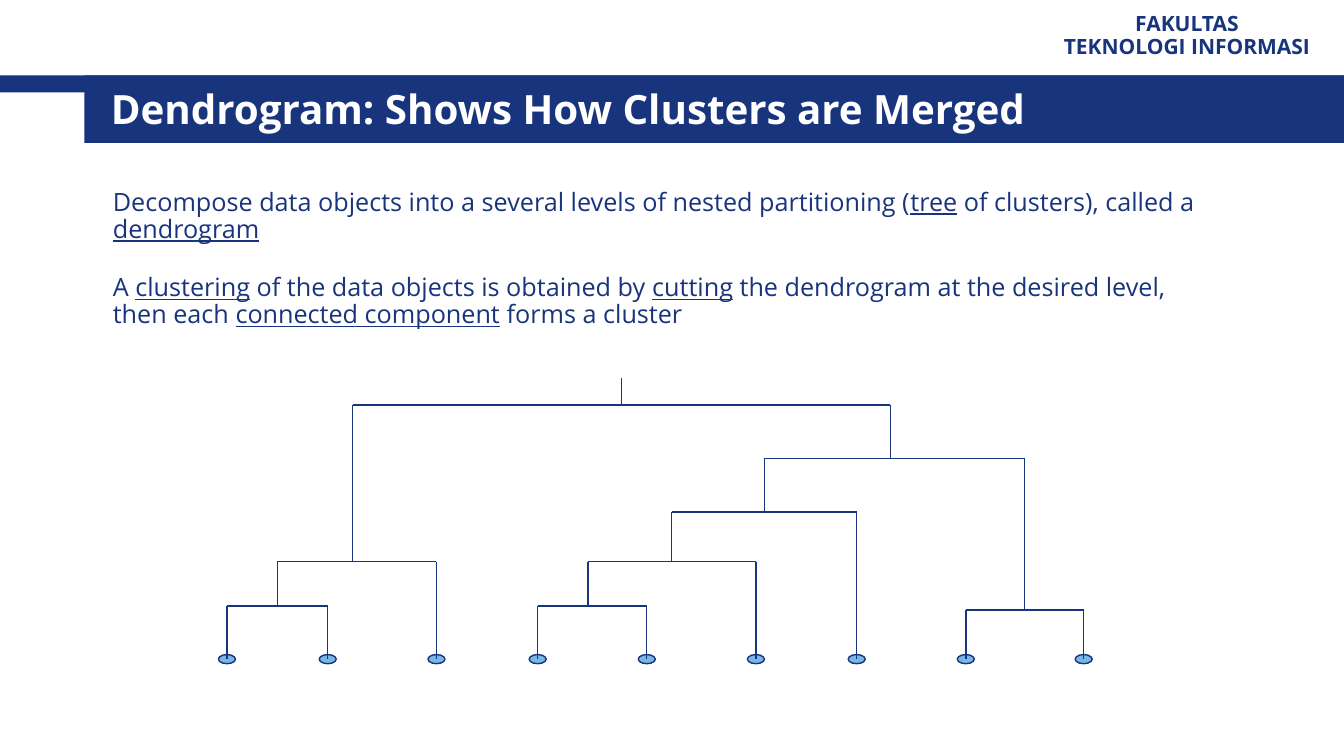
from lxml import etree
from pptx import Presentation
from pptx import util as u
from pptx.dml import color
from pptx.enum import shapes, text
from pptx.oxml import ns

COLORS = {"navy": "17347D", "sky": "77B7E7", "white": "FFFFFF"}
TITLE = "Dendrogram: Shows How Clusters are Merged"
HEADER = ["FAKULTAS", "TEKNOLOGI INFORMASI"]
BODY = [
    [("Decompose data objects into a several levels of nested partitioning (", False),
     ("tree", True), (" of clusters), called a ", False), ("dendrogram", True)],
    [("A ", False), ("clustering", True),
     (" of the data objects is obtained by ", False), ("cutting", True),
     (" the dendrogram at the desired level, then each ", False),
     ("connected component", True), (" forms a cluster", False)],
]
BANDS = [(0, 1.9, 33.87, 0.43), (2.13, 1.9, 31.74, 1.7)]
HEADER_BOX = (25.98, 0.13, 7.87, 1.57)
TITLE_BOX = (2.54, 2.03, 30.2, 1.57)
BODY_BOX = (2.59, 4.65, 28.32, 4.11)

LEAF_Y, ROOT_Y = 16.61, 9.53
LEAF_W, LEAF_H = 0.43, 0.23
LEAVES = {"a": 5.72, "b": 8.26, "c": 11, "d": 13.55, "e": 16.3,
          "f": 19.05, "g": 21.59, "h": 24.34, "i": 27.31}
JOINS = {
    "ab": ("a", "b", 6.99, 15.27),
    "abc": ("ab", "c", 8.89, 14.15),
    "de": ("d", "e", 14.82, 15.27),
    "def": ("de", "f", 16.93, 14.15),
    "defg": ("def", "g", 19.26, 12.9),
    "hi": ("h", "i", 25.82, 15.37),
    "defghi": ("defg", "hi", 22.44, 11.56),
    "all": ("abc", "defghi", 15.66, 10.21),
}


def rgb(name):
    return color.RGBColor.from_string(COLORS[name])


def cm(*values):
    return [u.Cm(v) for v in values]


def place(shape, box):
    for name, value in zip(("left", "top", "width", "height"), cm(*box)):
        setattr(shape, name, value)


def setup(tf, anchor):
    for name, value in {"word_wrap": True, "vertical_anchor": anchor,
                        "auto_size": text.MSO_AUTO_SIZE.NONE}.items():
        setattr(tf, name, value)


def add_run(p, words, ink, **format_values):
    r = p.add_run()
    r.text = words
    r.font.color.rgb = rgb(ink)
    for name, value in {"name": "Open Sans", **format_values}.items():
        setattr(r.font, name, value)


def add_paragraph(tf, index, **format_values):
    p = tf.add_paragraph() if index else tf.paragraphs[0]
    for name, value in format_values.items():
        setattr(p, name, value)
    return p


def add_filled(kind, box, fill, outlined=False):
    sp = s.shapes.add_shape(kind, *cm(*box))
    sp.shadow.inherit = False
    sp.fill.solid()
    sp.fill.fore_color.rgb = rgb(fill)
    if outlined:
        sp.line.color.rgb = rgb("navy")
        sp.line.width = u.Pt(1)
    else:
        sp.line.fill.background()
    return sp


def add_line(x1, y1, x2, y2):
    line = s.shapes.add_connector(shapes.MSO_CONNECTOR.STRAIGHT, *cm(x1, y1, x2, y2))
    line.line.color.rgb = rgb("navy")
    line.line.width = u.Pt(1)
    etree.SubElement(line.element.spPr, ns.qn("a:effectLst"))


prs = Presentation()
prs.slide_width, prs.slide_height = u.Cm(33.87), u.Cm(19.05)
s = prs.slides.add_slide(prs.slide_layouts[1])
title, body = s.placeholders

for index, box in enumerate(BANDS):
    band = add_filled(shapes.MSO_SHAPE.RECTANGLE, box, "navy")
    s.shapes.element.insert(2 + index, band.element)

header = s.shapes.add_textbox(*cm(*HEADER_BOX))
setup(header.text_frame, text.MSO_ANCHOR.MIDDLE)
for index, words in enumerate(HEADER):
    p = add_paragraph(header.text_frame, index, alignment=text.PP_ALIGN.CENTER,
                      line_spacing=0.9)
    add_run(p, words, "navy", size=u.Pt(15), bold=True)

place(title, TITLE_BOX)
setup(title.text_frame, text.MSO_ANCHOR.MIDDLE)
p = add_paragraph(title.text_frame, 0, alignment=text.PP_ALIGN.LEFT, line_spacing=0.9)
add_run(p, TITLE, "white", size=u.Pt(28.8), bold=True)

place(body, BODY_BOX)
setup(body.text_frame, text.MSO_ANCHOR.TOP)
for index, runs in enumerate(BODY):
    p = add_paragraph(body.text_frame, index, line_spacing=0.9,
                      space_before=u.Pt(22 * index), space_after=u.Pt(0))
    pPr = p._p.get_or_add_pPr()
    pPr.set("marL", "0")
    pPr.set("indent", "0")
    etree.SubElement(pPr, ns.qn("a:buNone"))
    for words, underlined in runs:
        add_run(p, words, "navy", size=u.Pt(18), underline=underlined)

nodes = {name: (x, LEAF_Y) for name, x in LEAVES.items()}
for x, y in nodes.values():
    box = (x - LEAF_W / 2, y - LEAF_H / 2, LEAF_W, LEAF_H)
    add_filled(shapes.MSO_SHAPE.OVAL, box, "sky", outlined=True)

for name, (left, right, x, y) in JOINS.items():
    add_line(nodes[left][0], y, nodes[right][0], y)
    for child_x, child_y in (nodes[left], nodes[right]):
        add_line(child_x, y, child_x, child_y)
    nodes[name] = (x, y)
root_x, root_y = nodes["all"]
add_line(root_x, ROOT_Y, root_x, root_y)

prs.save("out.pptx")
